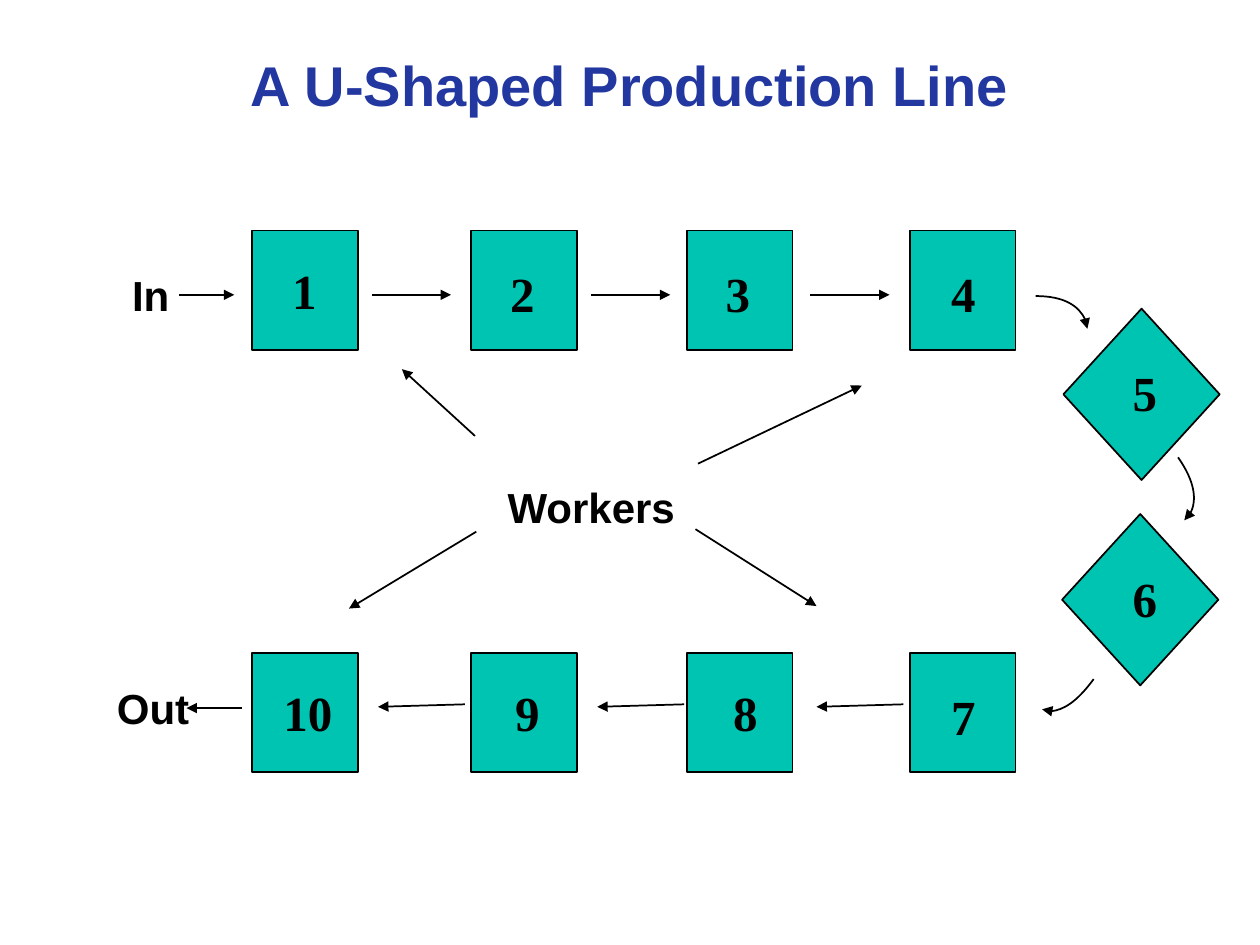
from lxml import etree
from pptx import Presentation
from pptx.dml.color import RGBColor
from pptx.enum import shapes, text
from pptx.oxml.ns import qn
from pptx.util import Inches, Pt

TEAL = "00C4B2"
BLACK = "000000"
NAVY = "2237A0"
COLUMNS = (0, 1.74, 3.45, 5.22)
ARROW_STEP = 1.74


def color(value):
    return RGBColor.from_string(value)


def add_text(slide, box, words, size, font="Arial", ink=BLACK):
    shape = slide.shapes.add_textbox(*map(Inches, box))
    frame = shape.text_frame
    frame.word_wrap = False
    frame.auto_size = text.MSO_AUTO_SIZE.SHAPE_TO_FIT_TEXT
    paragraph = frame.paragraphs[0]
    paragraph.text = words
    paragraph.font.size = Pt(size)
    paragraph.font.name = font
    paragraph.font.bold = True
    paragraph.font.color.rgb = color(ink)
    return shape


def add_number(slide, left, top, number):
    width = 0.39 if number < 10 else 0.59
    add_text(slide, (left, top, width, 0.56), str(number), 28, "Times New Roman")


def style_line(shape):
    shape.line.color.rgb = color(BLACK)
    shape.line.width = Pt(1)


def add_arrowhead(shape):
    style_line(shape)
    tail = etree.SubElement(shape.line._get_or_add_ln(), qn("a:tailEnd"))
    tail.set("type", "triangle")


def add_station(slide, preset, left, top, width, height):
    shape = slide.shapes.add_shape(preset, *map(Inches, (left, top, width, height)))
    shape.shadow.inherit = False
    shape.fill.solid()
    shape.fill.fore_color.rgb = color(TEAL)
    style_line(shape)


def add_arrow(slide, left, top, start, end):
    points = (left + start[0], top + start[1], left + end[0], top + end[1])
    connector = slide.shapes.add_connector(
        shapes.MSO_CONNECTOR.STRAIGHT, *map(Inches, points))
    add_arrowhead(connector)
    etree.SubElement(connector._element.spPr, qn("a:effectLst"))


def add_curved_arrow(slide, left, top, points):
    start, *controls = [(Inches(left + x), Inches(top + y)) for x, y in points]
    builder = slide.shapes.build_freeform(*start)
    builder.add_line_segments(controls, close=False)
    shape = builder.convert_to_shape()
    outline = next(shape._element.iter(qn("a:path")))
    curve = etree.Element(qn("a:cubicBezTo"))
    for segment in outline.findall(qn("a:lnTo")):
        curve.append(segment[0])
        outline.remove(segment)
    outline.append(curve)
    shape.shadow.inherit = False
    shape.fill.background()
    add_arrowhead(shape)


def draw_title(slide, left, top, width, height):
    shape = add_text(slide, (left, top, width, height),
                     "A U-Shaped Production Line", 32, ink=NAVY)
    frame = shape.text_frame
    frame.auto_size = text.MSO_AUTO_SIZE.NONE
    frame.word_wrap = True
    frame.vertical_anchor = text.MSO_ANCHOR.BOTTOM
    frame.paragraphs[0].alignment = text.PP_ALIGN.CENTER


def draw_row(slide, left, top, numbers, start, end):
    for column, (number, dx, dy) in zip(COLUMNS, numbers):
        add_station(slide, shapes.MSO_SHAPE.RECTANGLE, left + column, top, 0.84, 0.95)
        add_number(slide, left + column + dx, top + dy, number)
    for index in range(len(COLUMNS) - 1):
        add_arrow(slide, left + index * ARROW_STEP, top, start, end)


def draw_entry_row(slide, left, top):
    numbers = ((1, 0.22, 0.19), (2, 0.21, 0.21), (3, 0.21, 0.21), (4, 0.23, 0.21))
    draw_row(slide, left, top, numbers, (0.95, 0.51), (1.58, 0.51))
    add_text(slide, (left - 1.05, top + 0.26, 0.51, 0.5), "In", 24)
    add_arrow(slide, left, top, (-0.58, 0.51), (-0.14, 0.51))


def draw_exit_row(slide, left, top):
    numbers = ((10, 0.15, 0.19), (9, 0.25, 0.19), (8, 0.27, 0.19), (7, 0.23, 0.22))
    draw_row(slide, left, top, numbers, (1.69, 0.41), (1, 0.43))
    add_text(slide, (left - 1.17, top + 0.19, 0.79, 0.5), "Out", 24)
    add_arrow(slide, left, top, (-0.08, 0.44), (-0.52, 0.44))


def draw_turn(slide, left, top):
    for number, dx, dy, label_dy in ((5, 0.22, 0.1, 0.48), (6, 0.21, 1.73, 2.11)):
        add_station(slide, shapes.MSO_SHAPE.DIAMOND, left + dx, top + dy, 1.24, 1.36)
        add_number(slide, left + 0.67, top + label_dy, number)
    curves = (
        ((0, 0), (0.23, 0), (0.41, 0.12), (0.41, 0.26)),
        ((1.13, 1.28), (1.27, 1.48), (1.29, 1.71), (1.18, 1.78)),
        ((0.46, 3.04), (0.32, 3.23), (0.13, 3.34), (0.05, 3.28)),
    )
    for points in curves:
        add_curved_arrow(slide, left, top, points)


def draw_workers(slide, left, top):
    add_text(slide, (left, top, 1.53, 0.5), "Workers", 24)
    arrows = (
        ((-0.16, -0.31), (-0.74, -0.84)),
        ((1.61, -0.09), (2.91, -0.71)),
        ((1.59, 0.43), (2.55, 1.04)),
        ((-0.15, 0.45), (-1.16, 1.06)),
    )
    for start, end in arrows:
        add_arrow(slide, left, top, start, end)


def main():
    presentation = Presentation()
    presentation.slide_width = Inches(10)
    presentation.slide_height = Inches(7.5)
    slide = presentation.slides.add_slide(presentation.slide_layouts[6])
    draw_title(slide, 0, 0.44, 10, 0.54)
    draw_entry_row(slide, 2, 1.83)
    draw_exit_row(slide, 2, 5.18)
    draw_turn(slide, 8.22, 2.35)
    draw_workers(slide, 3.93, 3.77)
    presentation.save("out.pptx")


if __name__ == "__main__":
    main()
